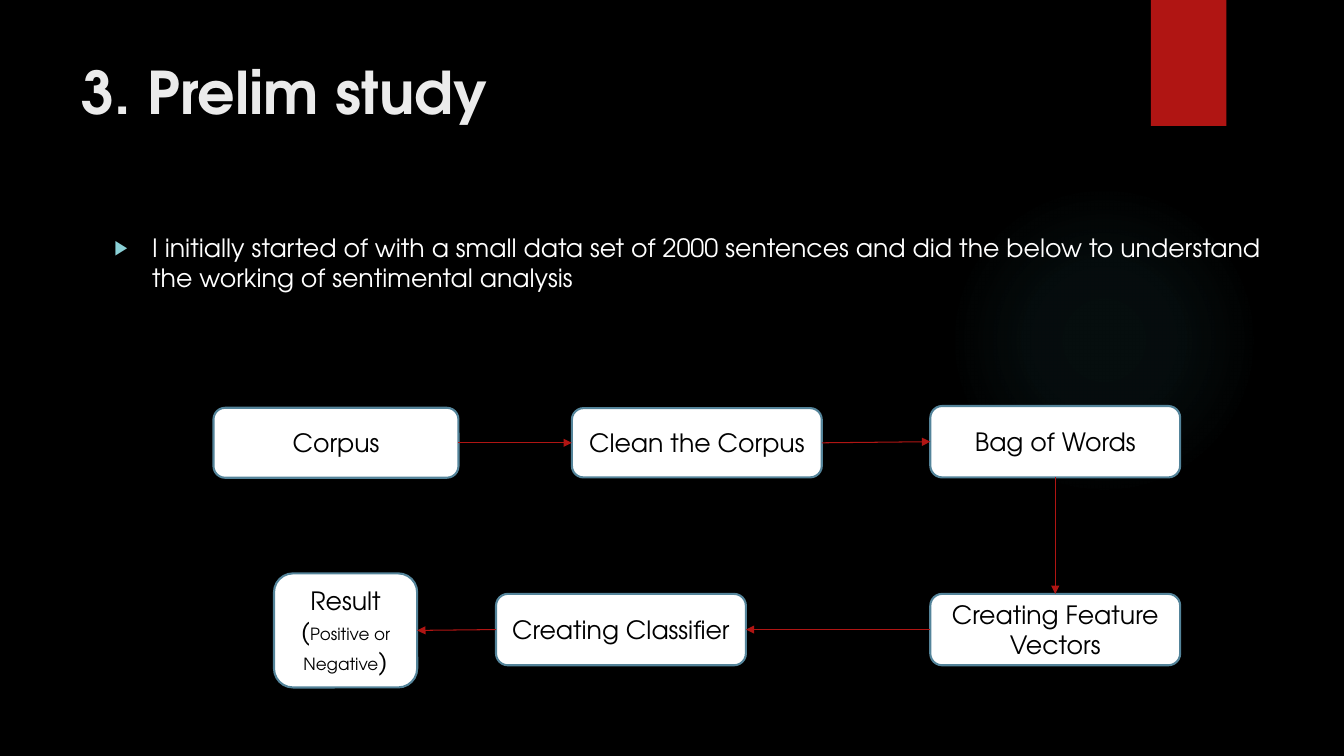
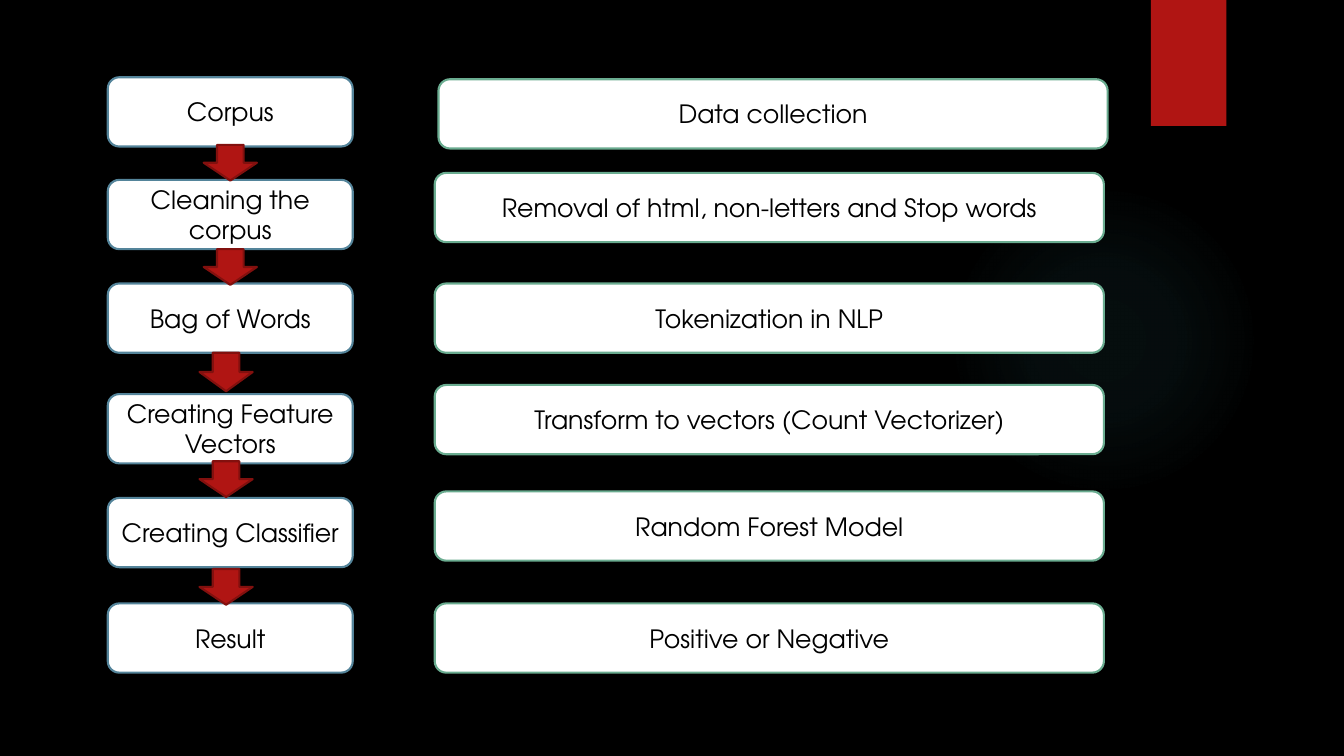
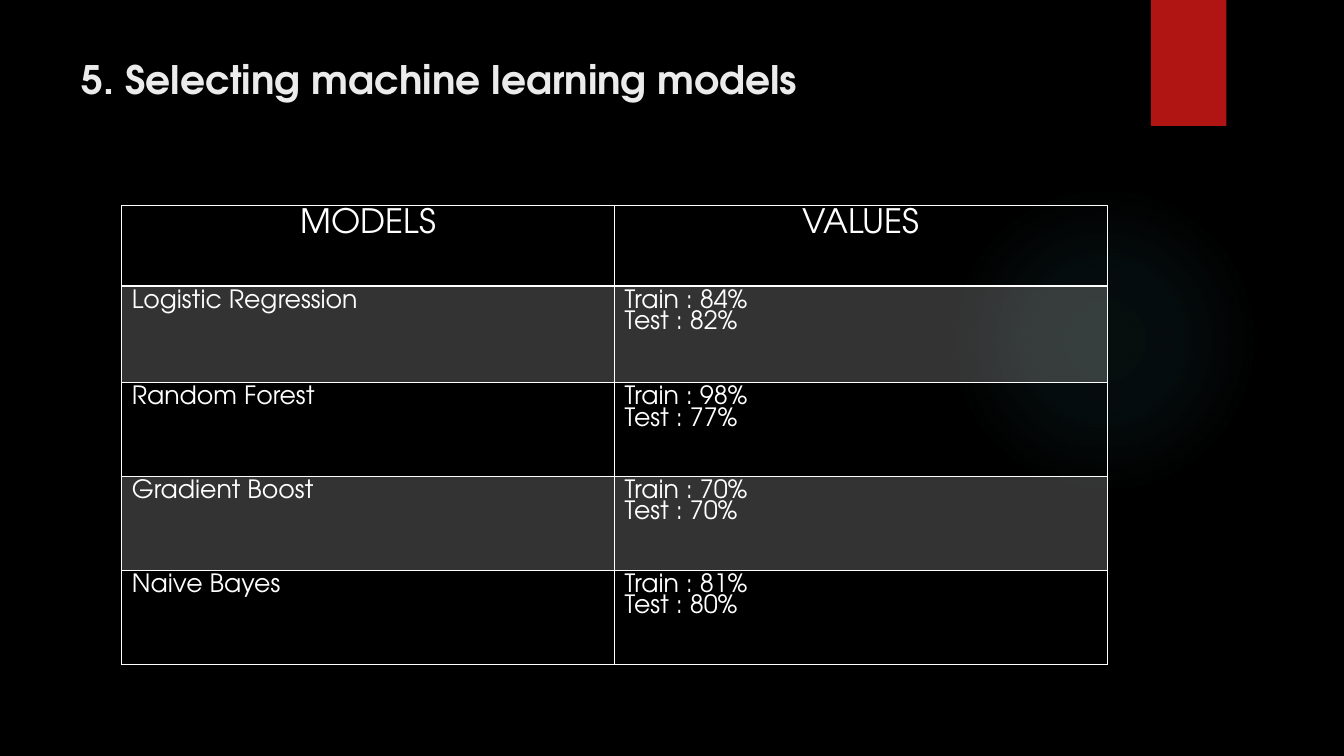
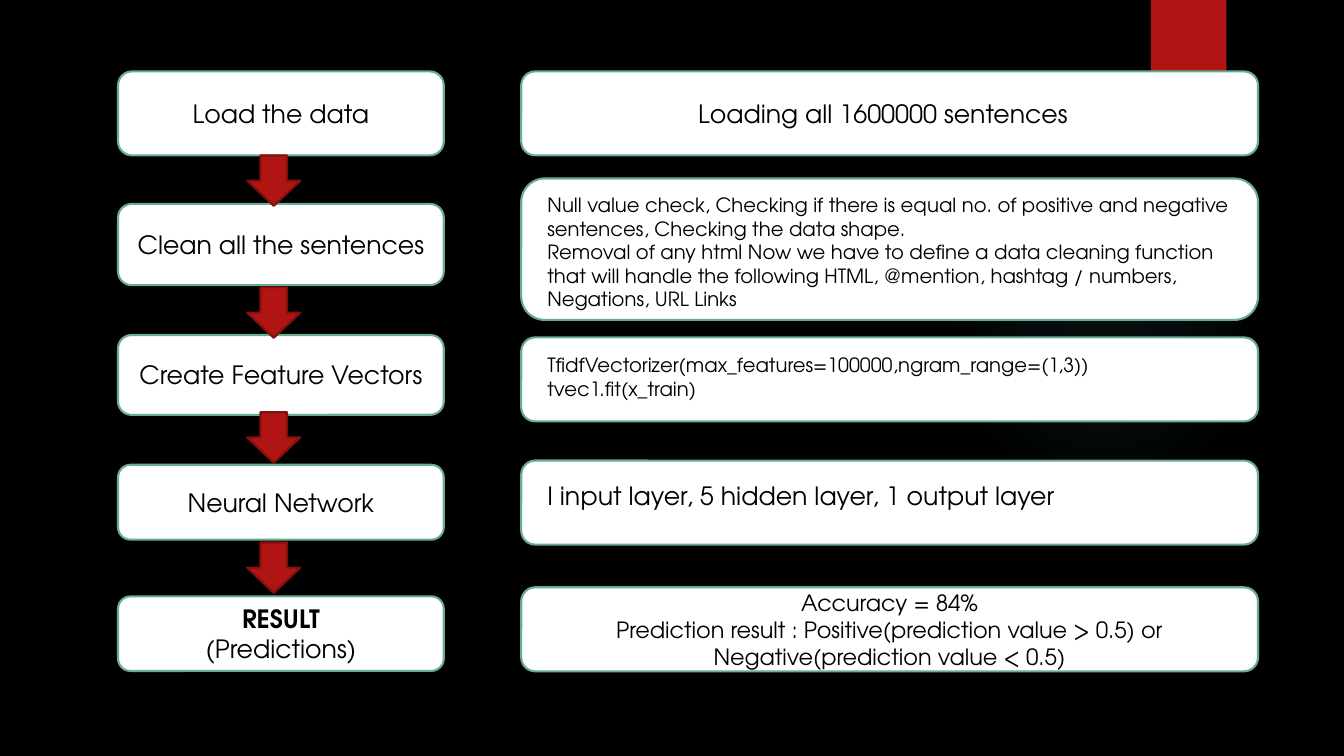
"""Build four slides on a study of sentiment analysis."""
import pptx
import pptx.dml.color
import pptx.enum.shapes
import pptx.enum.text
import pptx.oxml
import pptx.oxml.ns
import pptx.util

Pt = pptx.util.Pt
RGB = pptx.dml.color.RGBColor
KIND = pptx.enum.shapes.MSO_SHAPE
ALIGN = pptx.enum.text.PP_ALIGN
LEFT, MID = ALIGN.LEFT, ALIGN.CENTER
BLACK = RGB(0x00, 0x00, 0x00)
WHITE = RGB(0xFF, 0xFF, 0xFF)
PALE = RGB(0xEB, 0xEB, 0xEB)
RED = RGB(0xB0, 0x15, 0x13)
DARK = RGB(0x82, 0x10, 0x0E)
BLUE = RGB(0x54, 0x84, 0x9A)
GREEN = RGB(0x6A, 0xAC, 0x90)
AQUA = RGB(0x8A, 0xD0, 0xD6)
GLOW = RGB(0x50, 0xB9, 0xC1)
FONT = "TeX Gyre Adventor"
SPACE = pptx.oxml.ns.nsdecls("a")


def write(frame, text, size=18, tone=BLACK, align=MID, bold=None):
    frame.text = text
    for para in frame.paragraphs:
        para.alignment = align
        for run in para.runs:
            run.font.name = FONT
            run.font.size = Pt(size)
            run.font.color.rgb = tone
            run.font.bold = bold


def draw(slide, kind, left, top, width, height, fill=WHITE, edge=None):
    shape = slide.shapes.add_shape(kind, Pt(left), Pt(top), Pt(width), Pt(height))
    shape.shadow.inherit = False
    if fill is not None:
        shape.fill.solid()
        shape.fill.fore_color.rgb = fill
    if edge is None:
        shape.line.fill.background()
    else:
        shape.line.color.rgb = edge
        shape.line.width = Pt(1.5)
    return shape


deck = pptx.Presentation()
deck.slide_width, deck.slide_height = Pt(960), Pt(540)
master = deck.slide_master
master.background.fill.solid()
master.background.fill.fore_color.rgb = BLACK
head = master.placeholders[0]
head.left, head.top, head.width, head.height = Pt(51), Pt(36), Pt(741), Pt(68)
head.text_frame.vertical_anchor = pptx.enum.text.MSO_ANCHOR.TOP
head.text_frame.auto_size = pptx.enum.text.MSO_AUTO_SIZE.NONE

layouts = deck.slide_layouts
prelim, steps, models, final = [
    deck.slides.add_slide(layouts[i]) for i in (1, 6, 5, 6)
]

glow = draw(prelim, KIND.OVAL, 677.5, 131.8, 221.8, 221.8, None)
stops = "".join(
    f'<a:gs pos="{at}000"><a:srgbClr val="{GLOW}"><a:alpha val="{alpha}000"/></a:srgbClr></a:gs>'
    for at, alpha in ((0, 7), (36, 6), (69, 0))
)
glow.element.spPr.insert(2, pptx.oxml.parse_xml(
    f'<a:gradFill {SPACE}><a:gsLst>{stops}</a:gsLst><a:path path="circle">'
    '<a:fillToRect l="50000" t="50000" r="50000" b="50000"/></a:path></a:gradFill>'
))
band = draw(prelim, KIND.RECTANGLE, 822, 0, 54, 90, RED)
for i, shape in enumerate((glow, band)):
    shape.element.xpath(".//p:cNvPr")[0].set("id", str(100 + i))
    master.shapes.element.insert(2 + i, shape.element)

for slide, text, size in (
    (prelim, "3. Prelim study", 42),
    (models, "5. Selecting machine learning models", 28),
):
    write(slide.shapes.title.text_frame, text, size, PALE, LEFT, True)

body = prelim.placeholders[1]
body.left, body.top, body.width, body.height = Pt(43), Pt(162.5), Pt(873), Pt(60)
write(
    body.text_frame,
    "I initially started of with a small data set of 2000 sentences and did the below "
    "to understand the working of sentimental analysis",
    tone=WHITE, align=LEFT,
)
para = body.text_frame.paragraphs[0]
para.level = 1
para.space_before = Pt(0)
props = para._p.get_or_add_pPr()
props.set("marL", str(Pt(58.5)))
props.set("indent", str(Pt(-27)))
for mark in (
    f'<a:buClr {SPACE}><a:srgbClr val="{AQUA}"/></a:buClr>',
    f'<a:buSzPct {SPACE} val="80000"/>',
    f'<a:buChar {SPACE} char="▶"/>',
):
    props.append(pptx.oxml.parse_xml(mark))

flow = []
for text, left, mid, width, height in (
    ("Corpus", 152.5, 316.3, 175, 50),
    ("Clean the Corpus", 408.5, 316.3, 178.5, 49.5),
    ("Bag of Words", 664.5, 315.5, 178.5, 51),
    ("Creating Feature Vectors", 664.5, 449.7, 178.5, 51),
    ("Creating Classifier", 354.3, 449.7, 178.5, 51),
    ("Result\n(", 195.7, 450.3, 102.3, 81.5),
):
    box = draw(prelim, KIND.ROUNDED_RECTANGLE, left, mid - height / 2, width, height, edge=BLUE)
    write(box.text_frame, text)
    flow.append(box)
para = flow[-1].text_frame.paragraphs[1]
for text, size in (("Positive or Negative", 12), (")", 18)):
    run = para.add_run()
    run.text = text
    run.font.name = FONT
    run.font.size = Pt(size)
    run.font.color.rgb = BLACK

for start, end, exit, entry in zip(flow, flow[1:], (3, 3, 2, 1, 1), (1, 1, 0, 3, 3)):
    line = prelim.shapes.add_connector(pptx.enum.shapes.MSO_CONNECTOR.STRAIGHT, 0, 0, 0, 0)
    line.begin_connect(start, exit)
    line.end_connect(end, entry)
    line.line.color.rgb = RED
    line.line.width = Pt(0.75)
    line.line._get_or_add_ln().append(
        pptx.oxml.parse_xml(f'<a:tailEnd {SPACE} type="triangle"/>'))
    line.element.spPr.append(pptx.oxml.parse_xml(f"<a:effectLst {SPACE}/>"))

for text, top, note, side, level in (
    ("Corpus", 55.2, "Data collection", 313.2, 56.6),
    ("Cleaning the corpus", 128.5, "Removal of html, non-letters and Stop words", 310.5, 123.5),
    ("Bag of Words", 202.5, "Tokenization in NLP", 310.5, 202.5),
    ("Creating Feature Vectors", 281.5, "Transform to vectors (Count Vectorizer)", 310.5, 275),
    ("Creating Classifier", 355.7, "Random Forest Model", 310.5, 351),
    ("Result", 431, "Positive or Negative", 310.5, 431),
):
    box = draw(steps, KIND.ROUNDED_RECTANGLE, 77, top, 175, 49.5, edge=BLUE)
    write(box.text_frame, text)
    box = draw(steps, KIND.ROUNDED_RECTANGLE, side, level, 478, 49.5, edge=GREEN)
    write(box.text_frame, note)
for left, top, height in (
    (145.5, 103.5, 25.5), (145.5, 178, 25.5), (142.5, 252, 27.5),
    (142.5, 329.5, 25.5), (142.5, 406.5, 25.5),
):
    draw(steps, KIND.DOWN_ARROW, left, top, 38, height, RED, DARK)

rows = (
    ("MODELS", "VALUES"),
    ("Logistic Regression", "Train : 84%\nTest : 82%"),
    ("Random Forest", "Train : 98%\nTest : 77%"),
    ("Gradient Boost", "Train : 70%\nTest : 70%"),
    ("Naive Bayes", "Train : 81%\nTest : 80%"),
)
table = models.shapes.add_table(5, 2, Pt(87), Pt(147), Pt(704), Pt(328)).table
table.first_row = table.horz_banding = False
for row, height in zip(table.rows, (57.5, 69, 67, 67, 67)):
    row.height = Pt(height)
for i, row in enumerate(rows):
    for j, text in enumerate(row):
        cell = table.cell(i, j)
        write(cell.text_frame, text, 18 if i else 24, WHITE, LEFT if i else MID)
        for para in cell.text_frame.paragraphs:
            para.line_spacing = 0.9
        props = cell._tc.get_or_add_tcPr()
        if i % 2:
            cell.fill.solid()
            cell.fill.fore_color.rgb = WHITE
            props.xpath(".//a:srgbClr")[0].append(
                pptx.oxml.parse_xml(f'<a:alpha {SPACE} val="20000"/>'))
        else:
            cell.fill.background()
        for k, side in enumerate("LRTB"):
            thick = 1.5 if (i, side) in ((0, "B"), (1, "T")) else 1
            props.insert(k, pptx.oxml.parse_xml(
                f'<a:ln{side} {SPACE} w="{Pt(thick)}"><a:solidFill>'
                f'<a:srgbClr val="{WHITE}"/></a:solidFill></a:ln{side}>'))

for text, top, height, note, size, level, depth, inset in (
    ("Load the data", 51, 60, "Loading all 1600000 sentences", 18, 51, 60, 16.5),
    ("Clean all the sentences", 145.7, 58, "", 14, 127.5, 101, 7.2),
    ("Create Feature Vectors", 239.3, 57, "", 14, 241, 60, 7.2),
    ("Neural Network", 332, 53.5, "", 18, 329, 60, 7.2),
    ("RESULT\n(Predictions)", 426, 53.3,
     "Accuracy = 84%\nPrediction result : Positive(prediction value > 0.5) or "
     "Negative(prediction value < 0.5)", 16, 419.5, 60, 7.2),
):
    box = draw(final, KIND.ROUNDED_RECTANGLE, 84.3, top, 232.7, height, edge=GREEN)
    write(box.text_frame, text)
    if text.startswith("RESULT"):
        box.text_frame.paragraphs[0].runs[0].font.bold = True
    box = draw(final, KIND.ROUNDED_RECTANGLE, 372.3, level, 526.3, depth, edge=GREEN)
    if note:
        write(box.text_frame, note, size)
        box.text_frame.margin_right = Pt(inset)
for top in (111, 205.3, 294.5, 387.5):
    draw(final, KIND.DOWN_ARROW, 176.5, top, 38, 36, RED, DARK)
for text, size, top, height in (
    ("Null value check, Checking if there is equal no. of positive and negative sentences, "
     "Checking the data shape.\nRemoval of any html Now we have to define a data cleaning "
     "function that will handle the following HTML, @mention, hashtag / numbers, Negations, "
     "URL Links", 14, 134.5, 92),
    ("TfidfVectorizer(max_features=100000,ngram_range=(1,3))\ntvec1.fit(x_train)", 14, 248.7, 41),
    ("I input layer, 5 hidden layer, 1 output layer", 18, 339.5, 29),
):
    note = final.shapes.add_textbox(Pt(383.8), Pt(top), Pt(503.3), Pt(height))
    note.text_frame.word_wrap = True
    write(note.text_frame, text, size, align=LEFT)

deck.save("out.pptx")
